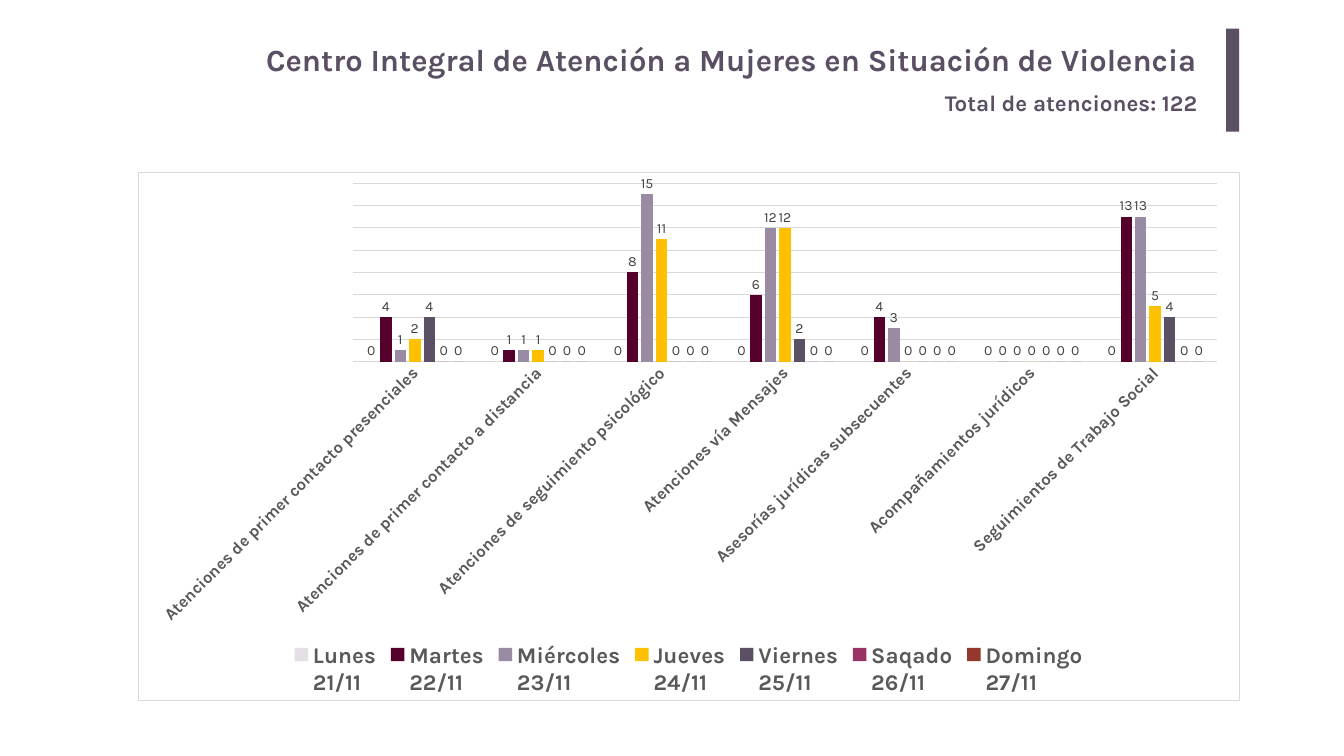
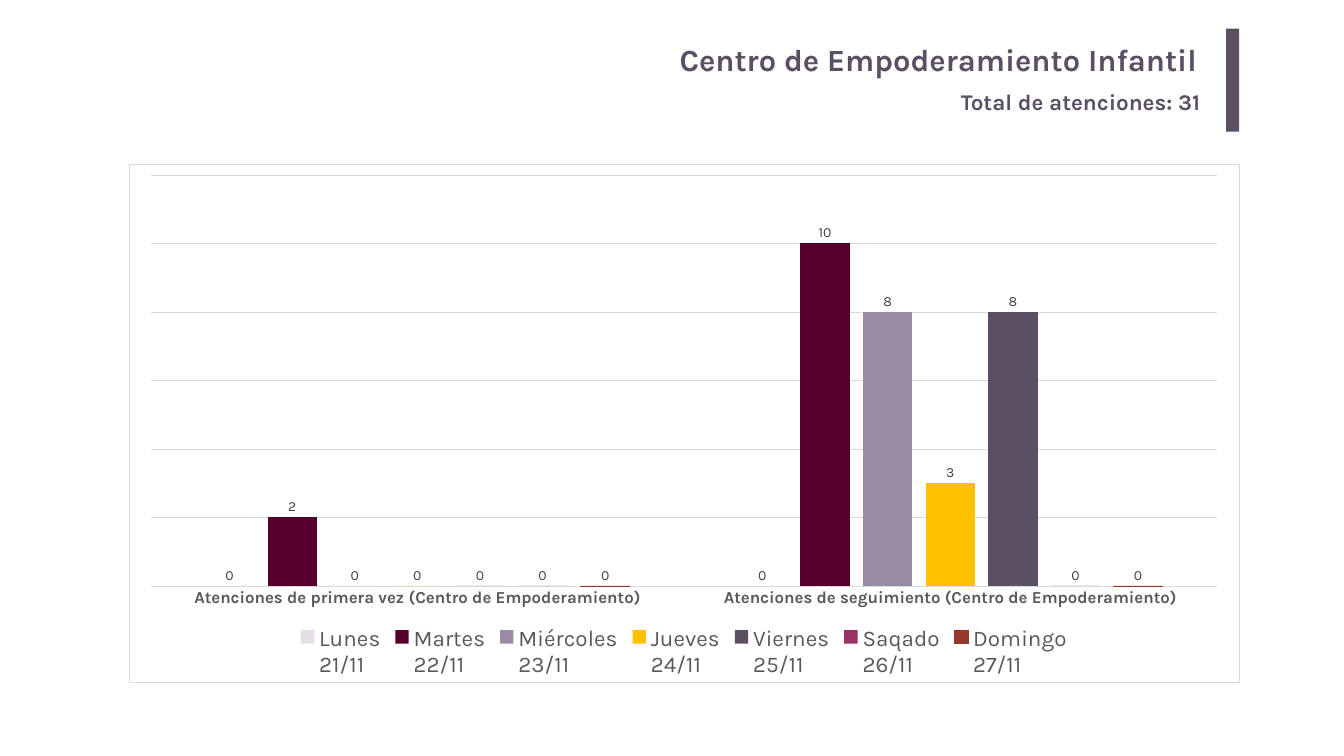
from lxml import etree
from pptx import Presentation
from pptx.chart.data import CategoryChartData
from pptx.dml.color import RGBColor
from pptx.enum import chart as charts, shapes, text
from pptx.oxml import parse_xml
from pptx.oxml.ns import nsdecls, qn
from pptx.util import Inches, Pt

FONT = "Karla"
COLORS = {
    "accent": "5B4F63",
    "paper": "FFFFFF",
    "rule": "D9D9D9",
    "axis": "595959",
    "value": "404040",
    "base": "000000",
}
DAYS = {
    "Lunes\n21/11": "E3DFE5",
    "Martes\n22/11": "54002A",
    "Miércoles\n23/11": "998BA3",
    "Jueves\n24/11": "FFC000",
    "Viernes\n25/11": "5B4F63",
    "Saqado\n26/11": "993366",
    "Domingo\n27/11": "95372B",
}
CENTERS = [
    {
        "title": "Centro Integral de Atención a Mujeres en Situación de Violencia",
        "total": "Total de atenciones: 122",
        "total_box": (18.65, 1.71, 5.31, 0.65),
        "chart_box": (2.74, 3.42, 21.85, 10.48),
        "top": 16,
        "bold_legend": True,
        "label_angle": -45,
        "outlined_days": (),
        "visits": {
            "Atenciones de primer contacto presenciales": (0, 4, 1, 2, 4, 0, 0),
            "Atenciones de primer contacto a distancia": (0, 1, 1, 1, 0, 0, 0),
            "Atenciones de seguimiento psicológico": (0, 8, 15, 11, 0, 0, 0),
            "Atenciones vía Mensajes": (0, 6, 12, 12, 2, 0, 0),
            "Asesorías jurídicas subsecuentes": (0, 4, 3, 0, 0, 0, 0),
            "Acompañamientos jurídicos": (0, 0, 0, 0, 0, 0, 0),
            "Seguimientos de Trabajo Social": (0, 13, 13, 5, 4, 0, 0),
        },
    },
    {
        "title": "Centro de Empoderamiento Infantil",
        "total": "Total de atenciones: 31",
        "total_box": (18.97, 1.69, 5.05, 0.64),
        "chart_box": (2.55, 3.26, 22.04, 10.29),
        "top": 12,
        "bold_legend": False,
        "label_angle": 0,
        "outlined_days": ("Domingo\n27/11",),
        "visits": {
            "Atenciones de primera vez (Centro de Empoderamiento)": (0, 2, 0, 0, 0, 0, 0),
            "Atenciones de seguimiento (Centro de Empoderamiento)": (0, 10, 8, 3, 8, 0, 0),
        },
    },
]


def rgb(name):
    return RGBColor.from_string(COLORS.get(name, name))


def style_font(font, size, color, bold=False):
    font.name = FONT
    font.size = Pt(size)
    font.bold = bold
    font.color.rgb = rgb(color)


def style_line(line, color):
    line.color.rgb = rgb(color)
    line.width = Pt(0.75)


def place(shape, box):
    shape.left, shape.top, shape.width, shape.height = map(Inches, box)


def set_insets(frame, across, down):
    frame.margin_left = frame.margin_right = Inches(across)
    frame.margin_top = frame.margin_bottom = Inches(down)
    frame.word_wrap = True


def add_heading(slide, center):
    title = slide.shapes.title
    place(title, (3.66, 0.67, 20.3, 1.02))
    frame = title.text_frame
    frame.text = center["title"]
    set_insets(frame, 0.2, 0.1)
    frame.auto_size = text.MSO_AUTO_SIZE.NONE
    frame.vertical_anchor = text.MSO_ANCHOR.MIDDLE
    frame.paragraphs[0].alignment = text.PP_ALIGN.RIGHT
    style_font(frame.paragraphs[0].font, 44, "accent", True)

    band = slide.shapes.add_shape(
        shapes.MSO_SHAPE.RECTANGLE, *map(Inches, (24.33, 0.57, 0.26, 2.04)))
    band.shadow.inherit = False
    band.fill.solid()
    band.fill.fore_color.rgb = rgb("accent")
    band.line.fill.background()

    total = slide.shapes.add_textbox(*map(Inches, center["total_box"])).text_frame
    total.text = center["total"]
    set_insets(total, 0.1, 0.05)
    total.auto_size = text.MSO_AUTO_SIZE.SHAPE_TO_FIT_TEXT
    style_font(total.paragraphs[0].font, 32, "accent", True)


def frame_chart(chart):
    border = parse_xml(
        f'<c:spPr {nsdecls("c", "a")}>'
        f'<a:solidFill><a:srgbClr val="{COLORS["paper"]}"/></a:solidFill>'
        f'<a:ln w="{Pt(0.75)}"><a:solidFill><a:srgbClr val="{COLORS["rule"]}"/>'
        '</a:solidFill></a:ln></c:spPr>')
    chart.element.find(qn("c:chart")).addnext(border)


def style_axes(chart, center):
    categories = chart.category_axis
    categories.major_tick_mark = charts.XL_TICK_MARK.NONE
    style_line(categories.format.line, "rule")
    style_font(categories.tick_labels.font, 24, "axis", True)
    if center["label_angle"]:
        body = categories._element.find(f'{qn("c:txPr")}/{qn("a:bodyPr")}')
        body.set("rot", str(center["label_angle"] * 60000))
        body.set("vert", "horz")

    values = chart.value_axis
    values.visible = False
    values.minimum_scale = 0
    values.maximum_scale = center["top"]
    values.major_unit = 2
    values.has_major_gridlines = True
    style_line(values.major_gridlines.format.line, "rule")


def style_days(plot, outlined_days):
    plot.gap_width = 219
    plot.overlap = -27
    plot.vary_by_categories = False
    for day in plot.series:
        color = DAYS[day.name]
        day.format.fill.solid()
        day.format.fill.fore_color.rgb = rgb(color)
        day.invert_if_negative = False
        if day.name in outlined_days:
            style_line(day.format.line, color)
        labels = day.data_labels
        labels.show_value = True
        labels.position = charts.XL_LABEL_POSITION.OUTSIDE_END
        style_font(labels.font, 20, "value")


def add_visits_chart(slide, center):
    data = CategoryChartData()
    data.categories = list(center["visits"])
    for day, counts in zip(DAYS, zip(*center["visits"].values())):
        data.add_series(day, counts)
    chart = slide.shapes.add_chart(
        charts.XL_CHART_TYPE.COLUMN_CLUSTERED,
        *map(Inches, center["chart_box"]), data).chart
    chart.has_title = False
    style_font(chart.font, 10, "base")
    frame_chart(chart)
    style_axes(chart, center)
    style_days(chart.plots[0], center["outlined_days"])
    chart.has_legend = True
    chart.legend.position = charts.XL_LEGEND_POSITION.BOTTOM
    chart.legend.include_in_layout = False
    style_font(chart.legend.font, 32, "axis", center["bold_legend"])


def main():
    deck = Presentation()
    deck.slide_width, deck.slide_height = Inches(26.67), Inches(15)
    for center in CENTERS:
        slide = deck.slides.add_slide(deck.slide_layouts[5])
        add_heading(slide, center)
        add_visits_chart(slide, center)
    deck.save("out.pptx")


if __name__ == "__main__":
    main()
